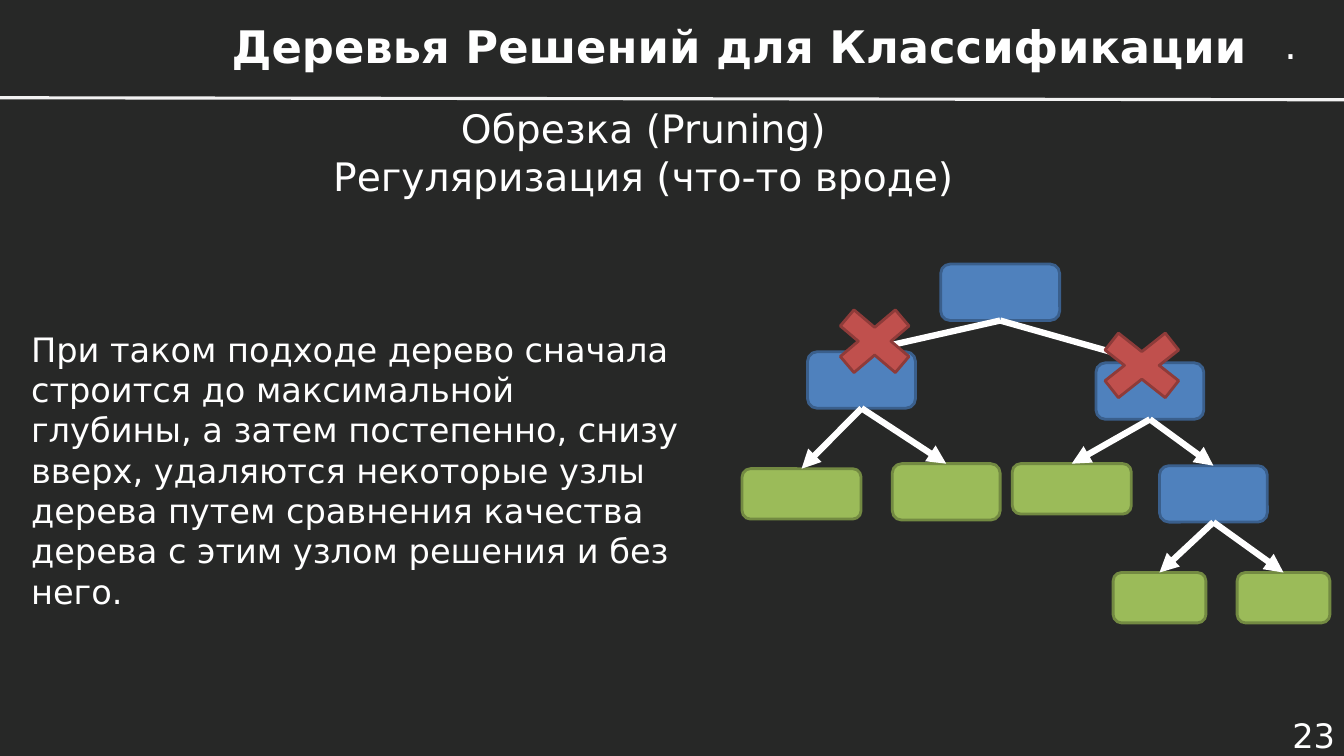
"""Build a slide on pruning a decision tree."""
from lxml.etree import SubElement
from pptx import Presentation
from pptx.dml.color import RGBColor
from pptx.enum.shapes import MSO_CONNECTOR, MSO_SHAPE
from pptx.enum.text import MSO_ANCHOR, MSO_AUTO_SIZE, PP_ALIGN
from pptx.oxml.ns import qn
from pptx.util import Inches, Pt

FONT = "DejaVu Sans"
WHITE, BACKGROUND, RULE = "FFFFFF", "272827", "F2F2F2"
DECISION = ("4F81BD", "3A5F8C")
LEAF = ("9BBB59", "738A42")
CUT = ("C0504D", "8E3B39")
TOP, BOTTOM = 0, 2

TITLE = ("Деревья Решений для Классификации", (2.1, 0.19, 10.47, 0.53))
TEXTS = [
    (["23"], (12.29, 7.08, 1.05, 0.42), 24, PP_ALIGN.RIGHT, MSO_ANCHOR.MIDDLE, True),
    (["."], (12.64, 0.15, 0.34, 0.57), 28, PP_ALIGN.LEFT, MSO_ANCHOR.TOP, False),
    (["Обрезка (Pruning)", "Регуляризация (что-то вроде)"],
     (3.2, 0.99, 6.36, 1.04), 28, PP_ALIGN.CENTER, MSO_ANCHOR.TOP, False),
    (["При таком подходе дерево сначала строится до максимальной глубины, "
      "а затем постепенно, снизу вверх, удаляются некоторые узлы дерева путем "
      "сравнения качества дерева с этим узлом решения и без него."],
     (0.21, 3.21, 6.69, 2.53), 24, PP_ALIGN.LEFT, MSO_ANCHOR.TOP, True),
]
NODES = {
    "root": (None, DECISION, (9.33, 2.62, 1.18, 0.56)),
    "left": ("root", DECISION, (8.01, 3.49, 1.07, 0.56)),
    "right": ("root", DECISION, (10.87, 3.6, 1.07, 0.56)),
    "left leaf 1": ("left", LEAF, (7.36, 4.65, 1.18, 0.5)),
    "left leaf 2": ("left", LEAF, (8.85, 4.6, 1.07, 0.56)),
    "right leaf": ("right", LEAF, (10.04, 4.6, 1.18, 0.5)),
    "deep": ("right", DECISION, (11.5, 4.62, 1.07, 0.56)),
    "deep leaf 1": ("deep", LEAF, (11.04, 5.68, 0.92, 0.5)),
    "deep leaf 2": ("deep", LEAF, (12.27, 5.68, 0.92, 0.5)),
}
CROSSES = [(8.15, 2.94, 1.15 - 0.1, 0.89), (10.75, 3.17, 1.15, 0.91)]


def color(value):
    return RGBColor.from_string(value)


def inches(values):
    return [Inches(value) for value in values]


def write(frame, lines, size, align, anchor, wrap, bold=False):
    frame.word_wrap = wrap
    frame.auto_size = MSO_AUTO_SIZE.NONE
    frame.vertical_anchor = anchor
    frame.text = "\n".join(lines)
    for paragraph in frame.paragraphs:
        paragraph.alignment = align
        font = paragraph.font
        font.name, font.size, font.bold = FONT, Pt(size), bold
        font.color.rgb = color(WHITE)


def add_box(slide, kind, box, colors):
    shape = slide.shapes.add_shape(kind, *inches(box))
    shape.shadow.inherit = False
    shape.fill.solid()
    shape.fill.fore_color.rgb = color(colors[0])
    shape.line.color.rgb = color(colors[1])
    shape.line.width = Pt(2)
    return shape


def add_line(slide, ends, line_color, width):
    connector = slide.shapes.add_connector(MSO_CONNECTOR.STRAIGHT, *inches(ends))
    connector.line.color.rgb = color(line_color)
    connector.line.width = Pt(width)
    SubElement(connector._element.spPr, qn("a:effectLst"))
    return connector


def add_branch(slide, parent, child):
    connector = add_line(slide, (0, 0, 0, 0), WHITE, 4.5)
    connector.begin_connect(parent, BOTTOM)
    connector.end_connect(child, TOP)
    SubElement(connector.line._get_or_add_ln(), qn("a:tailEnd"), type="triangle")


def main():
    presentation = Presentation()
    presentation.slide_width, presentation.slide_height = inches((13.33, 7.5))
    slide = presentation.slides.add_slide(presentation.slide_layouts[5])
    slide.background.fill.solid()
    slide.background.fill.fore_color.rgb = color(BACKGROUND)

    text, box = TITLE
    title = slide.shapes.title
    title.left, title.top, title.width, title.height = inches(box)
    write(title.text_frame, [text], 32, PP_ALIGN.CENTER, MSO_ANCHOR.MIDDLE, True, bold=True)

    add_line(slide, (0, 0.97, 13.33, 0.99), RULE, 2.25)
    for lines, box, *style in TEXTS:
        write(slide.shapes.add_textbox(*inches(box)).text_frame, lines, *style)

    shapes = {name: add_box(slide, MSO_SHAPE.ROUNDED_RECTANGLE, box, colors)
              for name, (_, colors, box) in NODES.items()}
    for name, (parent, _, _) in NODES.items():
        if parent:
            add_branch(slide, shapes[parent], shapes[name])
    for box in CROSSES:
        add_box(slide, MSO_SHAPE.MATH_MULTIPLY, box, CUT)

    presentation.save("out.pptx")


if __name__ == "__main__":
    main()
